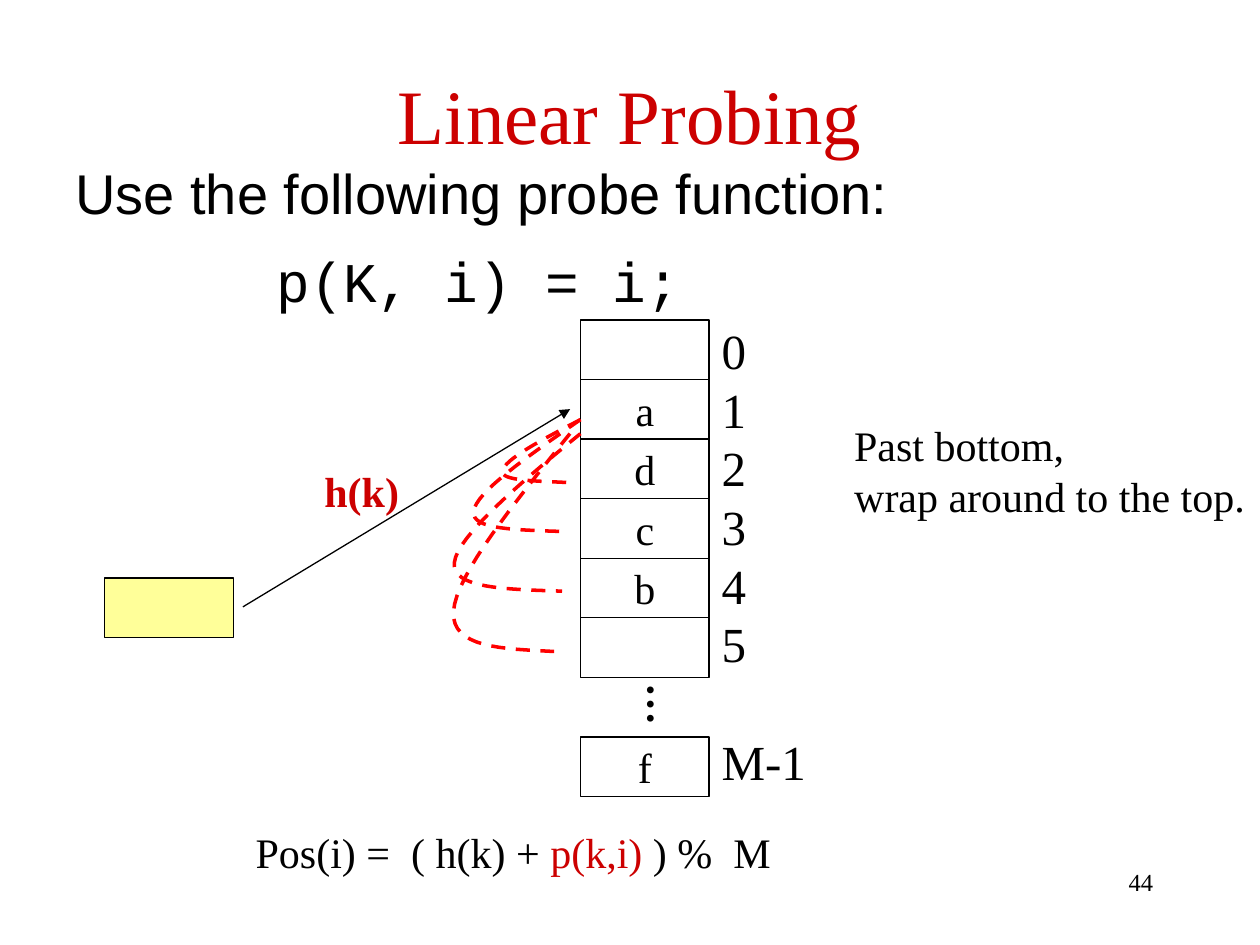
from lxml.etree import SubElement
from pptx import Presentation
from pptx.dml.color import RGBColor
from pptx.enum.dml import MSO_LINE
from pptx.enum.shapes import MSO_CONNECTOR, MSO_SHAPE
from pptx.enum.text import MSO_ANCHOR, PP_ALIGN
from pptx.oxml.ns import qn
from pptx.util import Pt

COLORS = {"black": "000000", "accent": "CC0000", "probe": "FF0000", "key": "FFFF99"}
SERIF = "Times New Roman"
CELL_WIDTH, CELL_HEIGHT = 73.5, 34.05
SLOTS = ["", "a", "d", "c", "b", "", None, "f"]
LABELS = ["0", "1", "2", "3", "4", "5", "M-1"]
PROBE_CURVES = [
    [(0, 57), (-22, 68.5), (-44, 80), (-44.5, 86.5), (-45.5, 92), (-26, 92), (-6.5, 93)],
    [(0, 57), (-30, 78), (-60, 98.5), (-61, 109.5), (-62.5, 120), (-36, 120), (-8.5, 121)],
    [(0, 65), (-35, 93.5), (-70.5, 124), (-72, 138.5), (-74, 153.5), (-42.5, 154), (-10.5, 155)],
    [(-6, 65), (-38, 105), (-71, 145.5), (-72.5, 166.5), (-74, 187.5), (-44.5, 188), (-15, 189.5)],
]


def color(name):
    """Return the named palette colour."""
    return RGBColor.from_string(COLORS[name])


def style_font(font, size, name=SERIF, fill="black", bold=False):
    """Set the face, size, colour and weight of a font."""
    font.name, font.size, font.bold = name, Pt(size), bold
    font.color.rgb = color(fill)


def add_text(slide, left, top, width, height, text, size, **style):
    """Add a left-aligned text box and return its text frame."""
    text_frame = slide.shapes.add_textbox(Pt(left), Pt(top), Pt(width), Pt(height)).text_frame
    text_frame.word_wrap = True
    text_frame.margin_right = 0
    text_frame.text = text
    for paragraph in text_frame.paragraphs:
        for run in paragraph.runs:
            style_font(run.font, size, **style)
    return text_frame


def add_cell(slide, left, top, text="", fill=None):
    """Add one outlined table slot."""
    cell = slide.shapes.add_shape(
        MSO_SHAPE.RECTANGLE, Pt(left), Pt(top), Pt(CELL_WIDTH), Pt(CELL_HEIGHT))
    cell.shadow.inherit = False
    cell.line.color.rgb = color("black")
    cell.line.width = Pt(0.75)
    if fill:
        cell.fill.solid()
        cell.fill.fore_color.rgb = color(fill)
    else:
        cell.fill.background()
    if text:
        cell.text_frame.text = text
        cell.text_frame.vertical_anchor = MSO_ANCHOR.MIDDLE
        paragraph = cell.text_frame.paragraphs[0]
        paragraph.alignment = PP_ALIGN.CENTER
        style_font(paragraph.runs[0].font, 24)


def add_heading(slide, left, top, width, height):
    """Format the title placeholder."""
    title = slide.shapes.title
    title.left, title.top, title.width, title.height = Pt(left), Pt(top), Pt(width), Pt(height)
    title.text_frame.text = "Linear Probing"
    title.text_frame.vertical_anchor = MSO_ANCHOR.MIDDLE
    paragraph = title.text_frame.paragraphs[0]
    paragraph.alignment = PP_ALIGN.CENTER
    style_font(paragraph.runs[0].font, 44, fill="accent")


def add_probe_function(slide, left, top, width, height):
    """Add the introduction and the indented probe function."""
    text_frame = add_text(slide, left, top, width, height,
                          "Use the following probe function:\np(K, i) = i;", 32, name="Arial")
    code = text_frame.paragraphs[1]
    code.space_before = Pt(19.5)
    code._p.get_or_add_pPr().set("marL", str(Pt(115)))
    code.runs[0].font.name = "Courier New"
    for paragraph in text_frame.paragraphs:
        paragraph.line_spacing = 0.8


def add_hash_table(slide, left, top):
    """Add the slots, their indices and the ellipsis between them."""
    for row, text in enumerate(SLOTS):
        cell_top = top + row * CELL_HEIGHT
        if text is None:
            dots = add_text(slide, left + 23, cell_top - 4, 43, 32, "…", 24, bold=True)
            dots._txBody.bodyPr.set("vert", "eaVert")
            dots.margin_left = dots.margin_right = Pt(3.6)
            dots.margin_top = dots.margin_bottom = Pt(7.2)
        else:
            add_cell(slide, left, cell_top, text)
    pitch = Pt(33.5)
    labels = add_text(slide, left + CELL_WIDTH, top - 3, 70, 280, "\n".join(LABELS), 28)
    for paragraph in labels.paragraphs:
        paragraph.line_spacing = pitch
    labels.paragraphs[-1].space_before = pitch


def bezier_points(start, first, second, end, steps=16):
    """Return points along a cubic curve, without its start."""
    points = []
    for step in range(1, steps + 1):
        t = step / steps
        weights = ((1 - t) ** 3, 3 * t * (1 - t) ** 2, 3 * t * t * (1 - t), t ** 3)
        points.append(tuple(
            sum(weight * value for weight, value in zip(weights, values))
            for values in zip(start, first, second, end)))
    return points


def add_probe_curves(slide, left, top):
    """Add the dashed probe paths from the home slot to later slots."""
    for curve in PROBE_CURVES:
        points = [curve[0]] + bezier_points(*curve[:4]) + bezier_points(*curve[3:])
        places = [(Pt(left + x), Pt(top + y)) for x, y in points]
        builder = slide.shapes.build_freeform(*places[0])
        builder.add_line_segments(places[1:], close=False)
        path_shape = builder.convert_to_shape()
        path_shape.shadow.inherit = False
        path_shape.fill.background()
        path_shape.line.color.rgb = color("probe")
        path_shape.line.width = Pt(2)
        path_shape.line.dash_style = MSO_LINE.DASH


def add_key(slide, left, top):
    """Add the key box, its hash label and the arrow to the home slot."""
    add_cell(slide, left, top, fill="key")
    arrow = slide.shapes.add_connector(
        MSO_CONNECTOR.STRAIGHT, Pt(left + 79), Pt(top + 16.5), Pt(left + 266), Pt(top - 96.5))
    arrow.line.color.rgb = color("black")
    arrow.line.width = Pt(0.75)
    SubElement(arrow.line._get_or_add_ln(), qn("a:tailEnd"), type="triangle")
    SubElement(arrow._element.spPr, qn("a:effectLst"))
    add_text(slide, left + 118.5, top - 68, 65, 36, "h(k)", 24, fill="accent", bold=True)


def add_wrap_note(slide, left, top, width, height):
    """Add the note on wrapping around."""
    note = add_text(slide, left, top, width, height,
                    "Past bottom,\nwrap around to the top.", 24)
    for paragraph in note.paragraphs:
        paragraph.line_spacing = 0.8
    note.paragraphs[1].space_before = Pt(6)


def add_formula(slide, left, top, width, height):
    """Add the position formula with its probe term highlighted."""
    paragraph = add_text(slide, left, top, width, height, "", 24).paragraphs[0]
    for text, fill in (("Pos(i) =  ( h(k) + ", "black"), ("p(k,i)", "accent"),
                       (" ) %  M", "black")):
        run = paragraph.add_run()
        run.text = text
        style_font(run.font, 24, fill=fill)


def add_page_number(slide, left, top, width, height):
    """Add the right-aligned page number."""
    number = add_text(slide, left, top, width, height, "44", 14)
    number.paragraphs[0].alignment = PP_ALIGN.RIGHT


def main():
    """Build the slide and save it."""
    presentation = Presentation()
    presentation.slide_width, presentation.slide_height = Pt(720), Pt(540)
    slide = presentation.slides.add_slide(presentation.slide_layouts[5])
    add_heading(slide, 36, 29, 648, 72)
    add_probe_function(slide, 36, 94.3, 648, 90)
    add_hash_table(slide, 331.7, 182.8)
    add_key(slide, 59.8, 330.3)
    add_probe_curves(slide, 331.7, 182.8)
    add_formula(slide, 139, 469, 538, 36)
    add_wrap_note(slide, 481, 242, 239, 60)
    add_page_number(slide, 516, 492, 143, 36)
    presentation.save("out.pptx")


if __name__ == "__main__":
    main()
